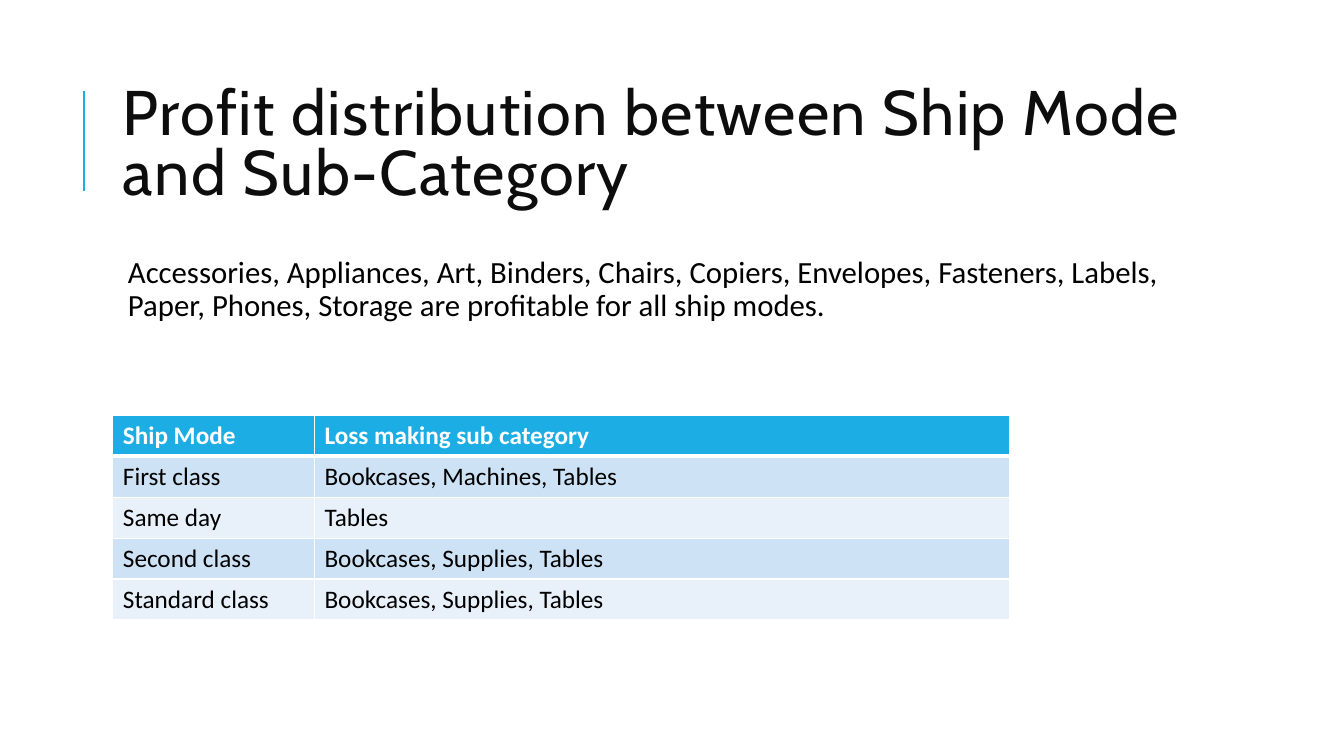
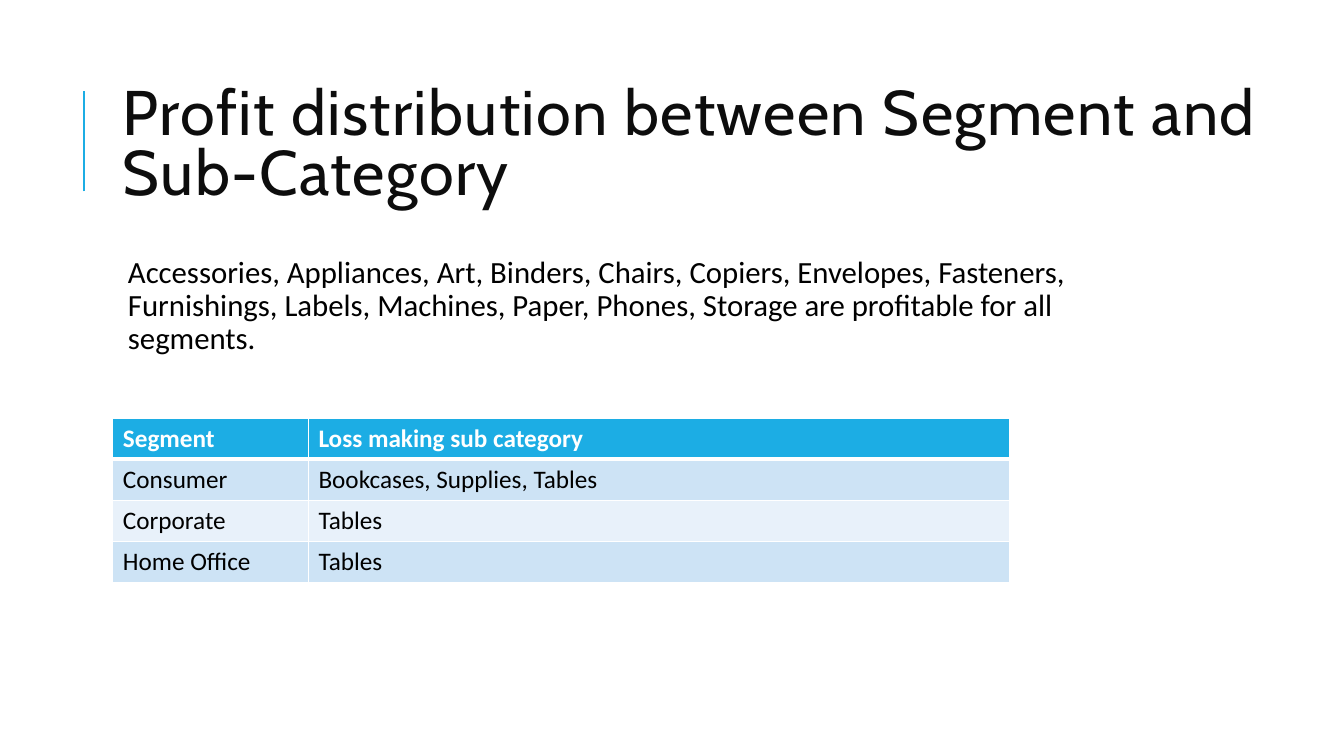
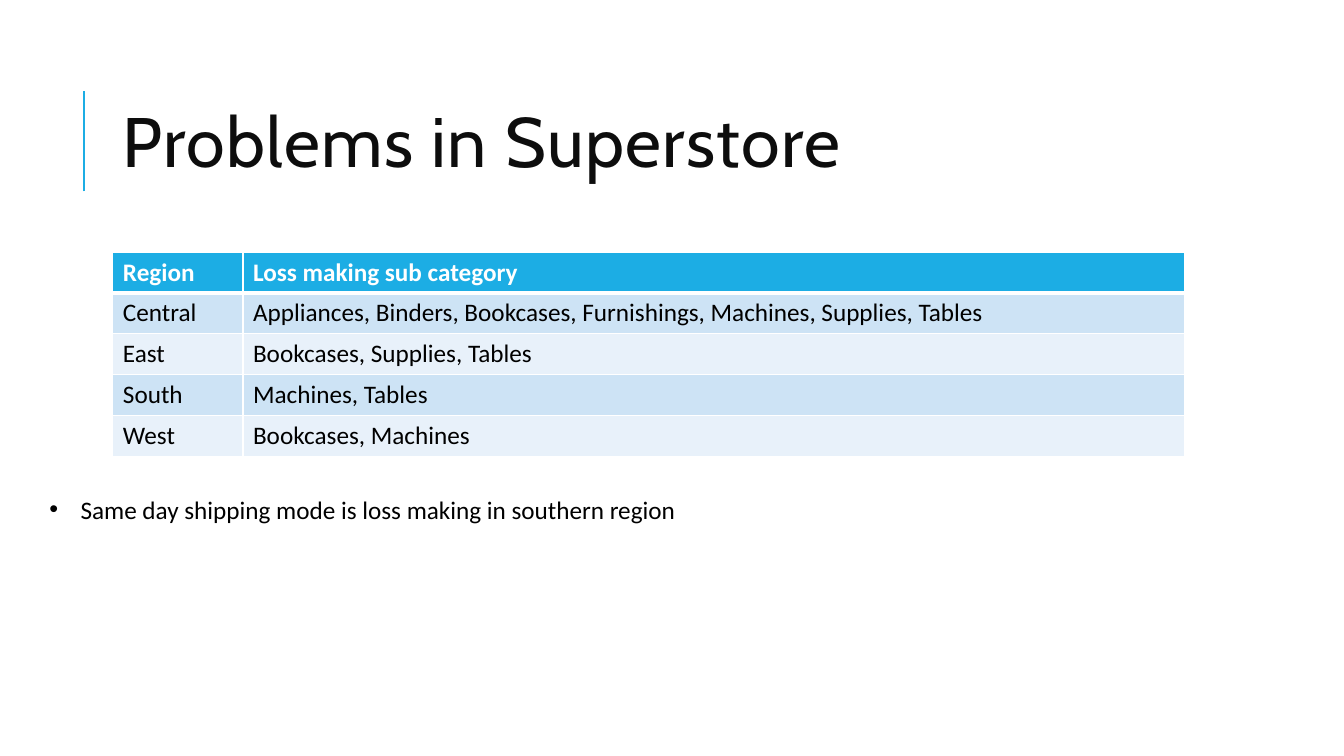
from dataclasses import dataclass
from typing import Any

from lxml.etree import SubElement
from pptx import Presentation
from pptx.dml.color import RGBColor
from pptx.enum.shapes import MSO_CONNECTOR
from pptx.enum.text import MSO_ANCHOR, MSO_AUTO_SIZE as AutoSize, PP_ALIGN
from pptx.oxml.ns import qn
from pptx.util import Emu, Inches, Pt

COLORS = {"accent": "1CADE4", "title": "0D0D0D", "text": "000000",
          "white": "FFFFFF", "band_dark": "CDE3F5", "band_light": "E8F1FA"}
WIDTH, HEIGHT = Inches(13.33), Inches(7.5)

# Positions and sizes are percentages of the slide's width or height
LEFT, CONTENT_TOP, CONTENT_WIDTH = 8.4, 33.33, 79.75
TITLE_TOP, TITLE_HEIGHT = 8.53, 21.87
RULE_X, RULE_TOP, RULE_BOTTOM = 6.22, 12, 25.33
ROW_HEIGHT = 5.42
LOSS_HEADING = "Loss making sub category"

TITLE_FRAME = {"word_wrap": True, "auto_size": AutoSize.NONE,
               "vertical_anchor": MSO_ANCHOR.MIDDLE}
TITLE_PARAGRAPH = {"alignment": PP_ALIGN.LEFT, "line_spacing": 0.8}
SUMMARY_FRAME = {"word_wrap": True, "margin_left": Inches(0.15),
                 "margin_top": Inches(0.05), "margin_right": Inches(0.05),
                 "margin_bottom": Inches(0.05)}
SUMMARY_PARAGRAPH = {"line_spacing": 0.9, "space_before": Pt(12),
                     "space_after": Pt(2)}


@dataclass(frozen=True)
class LossTable:
    heading: str
    top: float
    columns: tuple[float, float]
    rows: tuple[tuple[str, str], ...]


@dataclass(frozen=True)
class Page:
    title: str
    title_width: float
    title_size: int
    losses: LossTable
    summary: str = ""
    finding: str = ""


PAGES = (
    Page("Profit distribution between Ship Mode and Sub-Category", 87.55, 45,
         LossTable("Ship Mode", 54.93, (15, 51.69), (
             ("First class", "Bookcases, Machines, Tables"),
             ("Same day", "Tables"),
             ("Second class", "Bookcases, Supplies, Tables"),
             ("Standard class", "Bookcases, Supplies, Tables"))),
         summary="Accessories, Appliances, Art, Binders, Chairs, Copiers, "
                 "Envelopes, Fasteners, Labels, Paper, Phones, Storage are "
                 "profitable for all ship modes."),
    Page("Profit distribution between Segment and Sub-Category", 88.3, 45,
         LossTable("Segment", 55.33, (14.55, 52.14), (
             ("Consumer", "Bookcases, Supplies, Tables"),
             ("Corporate", "Tables"),
             ("Home Office", "Tables"))),
         summary="Accessories, Appliances, Art, Binders, Chairs, Copiers, "
                 "Envelopes, Fasteners, Furnishings, Labels, Machines, Paper, "
                 "Phones, Storage are profitable for all segments."),
    Page("Problems in Superstore", CONTENT_WIDTH, 50,
         LossTable("Region", CONTENT_TOP, (9.68, 70.07), (
             ("Central", "Appliances, Binders, Bookcases, Furnishings, "
                         "Machines, Supplies, Tables"),
             ("East", "Bookcases, Supplies, Tables"),
             ("South", "Machines, Tables"),
             ("West", "Bookcases, Machines"))),
         finding="Same day shipping mode is loss making in southern region"),
)


def across(percent: float) -> Emu:
    return Emu(round(WIDTH * percent / 100))


def down(percent: float) -> Emu:
    return Emu(round(HEIGHT * percent / 100))


def box(left: float, top: float, width: float, height: float) -> tuple:
    return across(left), down(top), across(width), down(height)


def rgb(color: str) -> RGBColor:
    return RGBColor.from_string(COLORS[color])


def apply(target: Any, values: dict[str, Any]) -> None:
    for attribute, value in values.items():
        setattr(target, attribute, value)


def write(frame: Any, text: str, size: int, color: str = "text",
          font: str = "Calibri", bold: bool = False) -> Any:
    """Put one formatted run in the frame and return its paragraph."""
    paragraph = frame.paragraphs[0]
    run = paragraph.add_run()
    run.text = text
    apply(run.font, {"name": font, "size": Pt(size), "bold": bold})
    run.font.color.rgb = rgb(color)
    return paragraph


def add_heading(slide: Any, page: Page) -> None:
    # Accent rule beside the title
    rule = slide.shapes.add_connector(
        MSO_CONNECTOR.STRAIGHT, across(RULE_X), down(RULE_BOTTOM),
        across(RULE_X), down(RULE_TOP))
    rule.line.color.rgb = rgb("accent")
    rule.line.width = Pt(1.5)
    SubElement(rule._element.spPr, qn("a:effectLst"))

    # Title placeholder
    title = slide.shapes.title
    position = box(LEFT, TITLE_TOP, page.title_width, TITLE_HEIGHT)
    apply(title, dict(zip(("left", "top", "width", "height"), position)))
    apply(title.text_frame, TITLE_FRAME)
    heading = write(title.text_frame, page.title, page.title_size,
                    "title", "Cabin")
    apply(heading, TITLE_PARAGRAPH)
    heading.runs[0].font._element.set("spc", "100")


def add_summary(slide: Any, text: str) -> None:
    area = box(LEFT, CONTENT_TOP, CONTENT_WIDTH, 20)
    frame = slide.shapes.add_textbox(*area).text_frame
    apply(frame, SUMMARY_FRAME)
    apply(write(frame, text, 22), SUMMARY_PARAGRAPH)


def add_finding(slide: Any, text: str) -> None:
    frame = slide.shapes.add_textbox(*box(2.93, 64.67, 93.85, 9.47)).text_frame
    frame.word_wrap = True
    properties = write(frame, text, 18)._p.get_or_add_pPr()
    hanging = Inches(0.31)
    properties.set("marL", str(hanging))
    properties.set("indent", str(-hanging))
    SubElement(properties, qn("a:buFont"), typeface="Arial")
    SubElement(properties, qn("a:buChar"), char="•")


def set_borders(cell: Any, widths: dict[str, int]) -> None:
    properties = cell._tc.get_or_add_tcPr()
    for side, width in widths.items():
        border = SubElement(properties, qn(f"a:ln{side}"), w=str(Pt(width)))
        fill = SubElement(border, qn("a:solidFill"))
        SubElement(fill, qn("a:srgbClr"), val=COLORS["white"])


def add_losses(slide: Any, losses: LossTable) -> None:
    rows = ((losses.heading, LOSS_HEADING), *losses.rows)
    area = box(LEFT, losses.top, sum(losses.columns), ROW_HEIGHT * len(rows))
    table = slide.shapes.add_table(len(rows), len(losses.columns), *area).table
    for column, width in zip(table.columns, losses.columns):
        column.width = across(width)
    for r, texts in enumerate(rows):
        table.rows[r].height = down(ROW_HEIGHT)
        header = r == 0
        band = "accent" if header else "band_dark" if r % 2 else "band_light"
        for c, text in enumerate(texts):
            cell = table.cell(r, c)
            # The line under the header is heavier than the others
            set_borders(cell, {"L": 1, "R": 1, "T": 3 if r == 1 else 1,
                               "B": 3 if header else 1})
            cell.fill.solid()
            cell.fill.fore_color.rgb = rgb(band)
            write(cell.text_frame, text, 18, "white" if header else "text",
                  bold=header)


def main() -> None:
    deck = Presentation()
    deck.slide_width, deck.slide_height = WIDTH, HEIGHT
    title_only = deck.slide_layouts[5]
    for page in PAGES:
        slide = deck.slides.add_slide(title_only)
        add_heading(slide, page)
        if page.summary:
            add_summary(slide, page.summary)
        add_losses(slide, page.losses)
        if page.finding:
            add_finding(slide, page.finding)
    deck.save("out.pptx")


if __name__ == "__main__":
    main()
